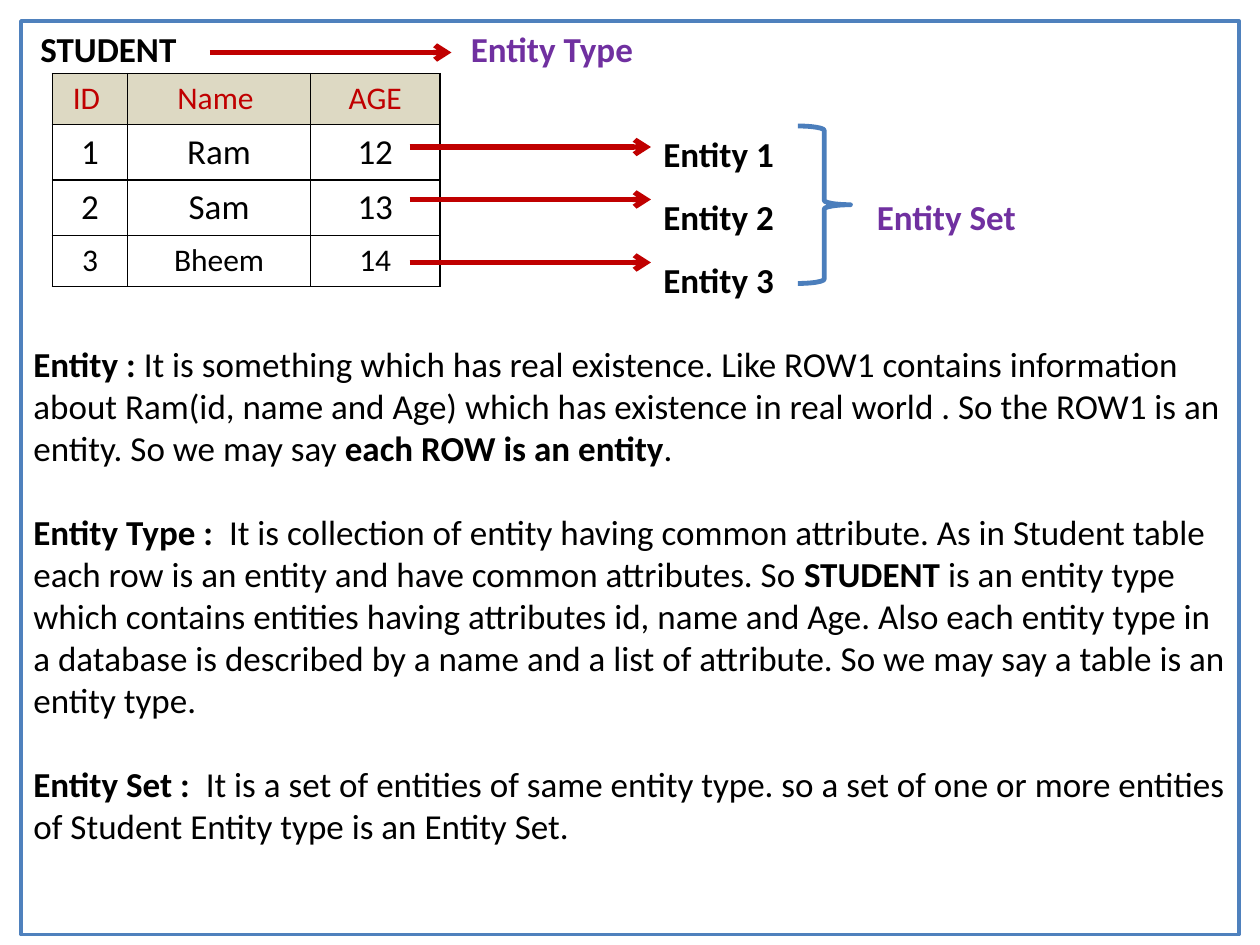
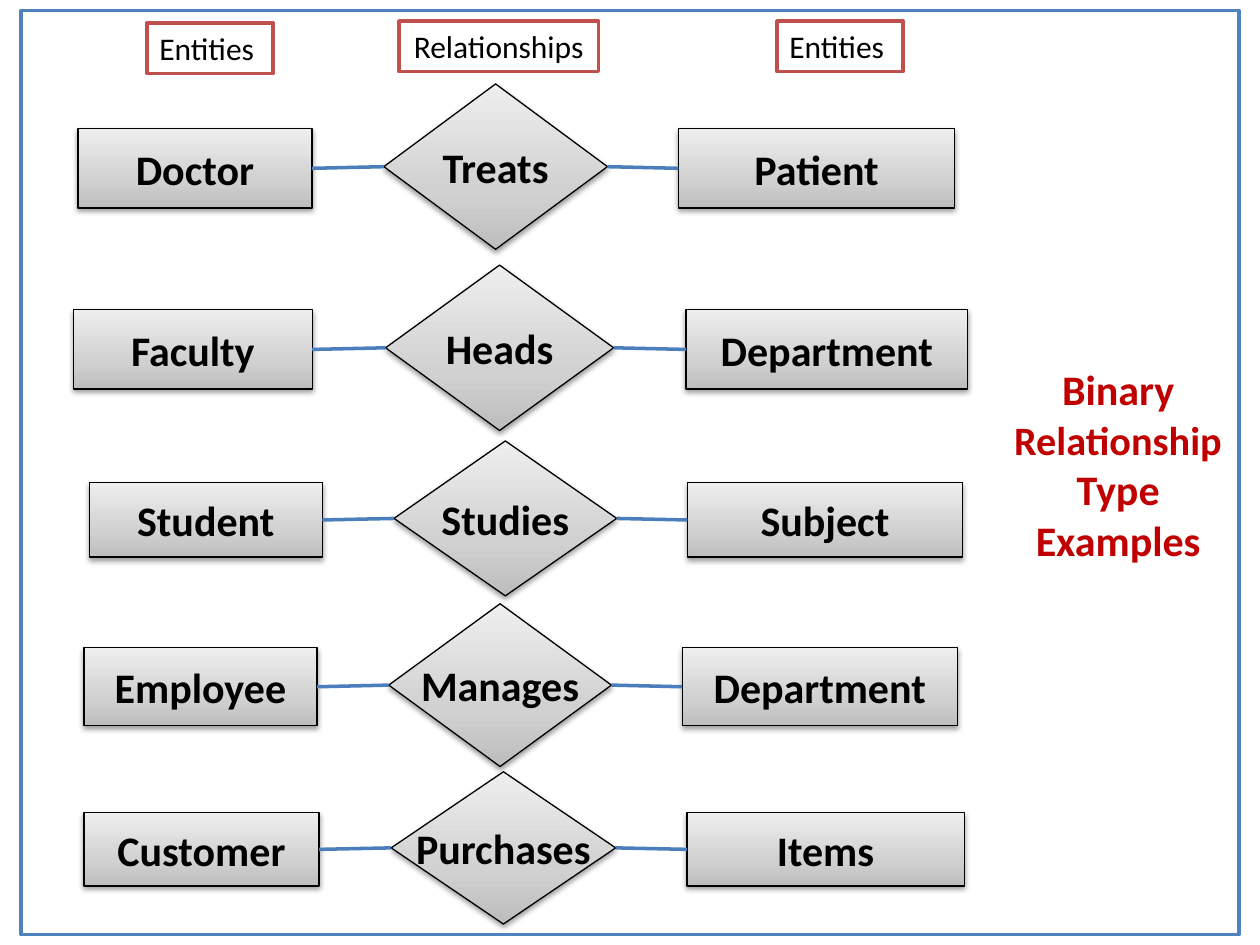
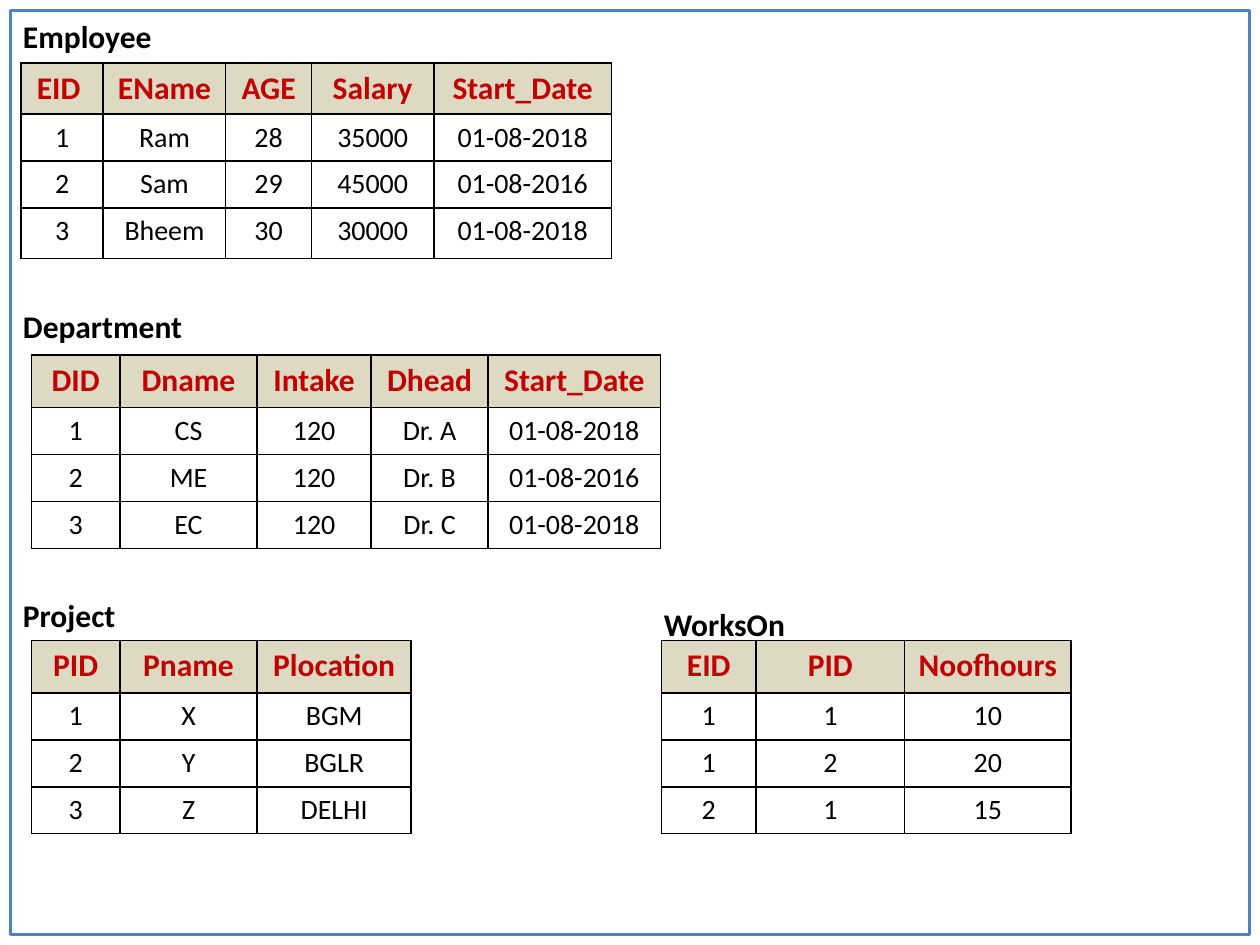
from copy import deepcopy

from pptx import Presentation
from pptx.dml.color import RGBColor
from pptx.enum.shapes import MSO_CONNECTOR, MSO_SHAPE
from pptx.enum.text import MSO_ANCHOR, PP_ALIGN
from pptx.oxml import parse_xml
from pptx.oxml.ns import nsdecls, qn
from pptx.util import Pt

# Shared look
FONT = "Calibri"
BLACK, WHITE, RED, PURPLE = "000000", "FFFFFF", "C00000", "7030A0"
BLUE, LINK, BRICK, SAND = "4F81BD", "4B7EBC", "C0504D", "DDD9C3"
GREYS = [(0, "BDBDBD"), (0.35, "D1D1D1"), (1, "EEEEEE")]
LEFT, MID = PP_ALIGN.LEFT, PP_ALIGN.CENTER
hue = RGBColor.from_string


def box(shapes, at, text="", size=18, color=BLACK, bold=False, align=LEFT,
        anchor=MSO_ANCHOR.TOP, kind=MSO_SHAPE.RECTANGLE,
        fill=WHITE, edge=BLUE, weight=2):
    """Add a shape, or a text box if kind is None; *stars* mark bold runs."""
    at = [Pt(n) for n in at]
    if kind is None:
        item = shapes.add_textbox(*at)
    else:
        item = shapes.add_shape(kind, *at)
        item.shadow.inherit = False
        item.line.color.rgb = hue(edge)
        item.line.width = Pt(weight)
        if fill:
            item.fill.solid()
            item.fill.fore_color.rgb = hue(fill)
        else:
            item.fill.background()
    frame = item.text_frame
    frame.word_wrap = kind != MSO_SHAPE.DIAMOND
    frame.vertical_anchor = anchor
    for i, line in enumerate(text.split("\n") if text else []):
        para = frame.add_paragraph() if i else frame.paragraphs[0]
        para.alignment = align
        font = para.font
        font.name, font.size, font.bold = FONT, Pt(size), bold
        font.color.rgb = hue(color)
        for j, part in enumerate(line.split("*")):
            if part:
                run = para.add_run()
                run.text = part
                if j % 2:
                    run.font.bold = True
    return item


def grid(page, x, y, cols, rows, lines, sizes, bold=True):
    """Add a ruled table with a sand header; cells are split at bars."""
    table = page.shapes.add_table(len(rows), len(cols), Pt(x), Pt(y),
                                  Pt(sum(cols)), Pt(sum(rows))).table
    table.first_row = table.horz_banding = False
    for col, width in zip(table.columns, cols):
        col.width = Pt(width)
    for r, line in enumerate(lines):
        table.rows[r].height = Pt(rows[r])
        for c, word in enumerate(line.split("|")):
            cell = table.cell(r, c)
            cell.text = word
            para = cell.text_frame.paragraphs[0]
            para.alignment = MID
            font = para.font
            font.name, font.size = FONT, Pt(sizes[r])
            font.bold = bold and r == 0
            font.color.rgb = hue(BLACK if r else RED)
            props = cell._tc.get_or_add_tcPr()
            for side in "LRTB":
                props.append(parse_xml(
                    f'<a:ln{side} {nsdecls("a")} w="12700"><a:solidFill>'
                    f'<a:srgbClr val="{BLACK}"/></a:solidFill></a:ln{side}>'))
            if r:
                cell.fill.background()
            else:
                cell.fill.solid()
                cell.fill.fore_color.rgb = hue(SAND)


deck = Presentation()
deck.slide_width, deck.slide_height = Pt(720), Pt(540)
frames = [(12, 12, 696, 522), (12, 6, 696, 528), (6, 6, 708, 528)]
pages = [deck.slides.add_slide(deck.slide_layouts[6]) for _ in frames]
wires = []

# Slide 1: entity, entity type, entity set
page = pages[0]
body = box(page.shapes, frames[0], """\
*\tSTUDENT\t**Entity Type*
*\tEntity 1*
*\tEntity 2\t**Entity Set*
*\tEntity 3*
*Entity : *It is something which has real existence. Like ROW1 contains \
information about Ram(id, name and Age) which has existence in real world . \
So the ROW1 is an entity. So we may say *each ROW is an entity*.
*Entity Type :  *It is collection of entity having common attribute. As in \
Student table each row is an entity and have common attributes. So *STUDENT* \
is an entity type which contains entities having attributes id, name and Age. \
Also each entity type in a database is described by a name and a list of \
attribute. So we may say a table is an entity type.
*Entity Set :  *It is a set of entities of same entity type. so a set of one \
or more entities of Student Entity type is an Entity Set.""", size=20)
paras = body.text_frame.paragraphs
for i in (1, 4, 5, 6):
    paras[i].space_before = Pt(24)
for para in paras[1:4]:
    para.line_spacing = 1.5
for i in (0, 2):
    paras[i].runs[-1].font.color.rgb = hue(PURPLE)

# Tab stops set the columns of the labels
for para, stops in zip(paras, [(4, 250), (360,), (360, 482), (360,)]):
    tabs = "".join(f'<a:tab pos="{Pt(n)}" algn="l"/>' for n in stops)
    props = para._p.get_or_add_pPr()
    props.find(qn("a:defRPr")).addprevious(
        parse_xml(f'<a:tabLst {nsdecls("a")}>{tabs}</a:tabLst>'))

grid(page, 30, 42, [43, 104.5, 74], [27.5, 29.5, 29.5, 27.5],
     ["ID |Name |AGE", "1|Ram|12", "2|Sam|13", "3|Bheem|14"],
     [18, 20, 20, 18], bold=False)
for x, y in [(234, 84), (234, 114), (234, 150), (120, 30)]:
    wire = page.shapes.add_connector(MSO_CONNECTOR.STRAIGHT,
                                     Pt(x), Pt(y), Pt(x + 138), Pt(y))
    wires.append((wire, RED, 3, True))
box(page.shapes, (456, 72, 30, 90), kind=MSO_SHAPE.RIGHT_BRACE,
    fill=None, edge=LINK, weight=2.75)

# Slide 2: binary relationships, each row laid out in shares of its size
page = pages[1]
box(page.shapes, frames[1])
for x, y, wide, high, names in [
        (48, 345, 499, 93, "Employee|Manages|Department"),
        (51, 252, 499, 88.5, "Student|Studies|Subject"),
        (42, 151.5, 511, 94.5, "Faculty|Heads|Department"),
        (44.5, 48, 501, 94.5, "Doctor|Treats|Patient"),
        (48, 441, 503, 87, "Customer|Purchases|Items")]:
    group = page.shapes.add_group_shape().shapes
    nodes = []
    for name, dx, dy, w, h, kind in zip(
            names.split("|"), (0, 0.349, 0.685), (0.27, 0, 0.27),
            (0.267, 0.255, 0.315), (0.48, 1, 0.48),
            (MSO_SHAPE.RECTANGLE, MSO_SHAPE.DIAMOND, MSO_SHAPE.RECTANGLE)):
        node = box(group, (x + dx * wide, y + dy * high, w * wide, h * high),
                   name, 24, bold=True, align=MID, anchor=MSO_ANCHOR.MIDDLE,
                   kind=kind, edge=BLACK, weight=0.75)
        node.fill.gradient()
        node.fill.gradient_angle = 90
        props = node._element.spPr
        stops = props.find(".//" + qn("a:gsLst"))
        stops.insert(1, deepcopy(stops[0]))
        for stop, (place, tone) in zip(node.fill.gradient_stops, GREYS):
            stop.position = place
            stop.color.rgb = hue(tone)
        props.find(qn("a:effectLst")).append(parse_xml(
            f'<a:outerShdw {nsdecls("a")} blurRad="40000" dist="20000" '
            f'dir="5400000" rotWithShape="0"><a:srgbClr val="{BLACK}">'
            '<a:alpha val="38000"/></a:srgbClr></a:outerShdw>'))
        nodes.append(node)
    for start, end in zip(nodes, nodes[1:]):
        wire = group.add_connector(
            MSO_CONNECTOR.STRAIGHT,
            start.left + start.width, start.top + start.height // 2,
            end.left, end.top + end.height // 2)
        wire.begin_connect(start, 3)
        wire.end_connect(end, 1)
        wires.append((wire, LINK, 2, False))

title = box(page.shapes, (570, 204, 138, 124),
            "Binary *Relationship* Type\nExamples", 24, RED, True, MID,
            kind=None)
title.text_frame.paragraphs[0].runs[1].font.size = Pt(23)
for x, y, w, name, align in [(84, 13, 72, "Entities", LEFT),
                             (444, 12, 72, "Entities", LEFT),
                             (228, 12, 114, "Relationships", MID)]:
    box(page.shapes, (x, y, w, 29), name, align=align, edge=BRICK)

# Slide 3: company tables
page = pages[2]
names = box(page.shapes, frames[2], "Employee\nDepartment\nProject", bold=True)
for para in names.text_frame.paragraphs[:2]:
    para.space_after = Pt(144)
tall = [30, 24.5, 24.5, 23]
for x, y, cols, rows, lines in [
        (12, 36, [47, 70, 49, 70, 101.5], [24, 22.5, 22.5, 29],
         ["EID |EName |AGE|Salary|Start_Date", "1|Ram|28|35000|01-08-2018",
          "2|Sam|29|45000|01-08-2016", "3|Bheem|30|30000|01-08-2018"]),
        (18, 203, [50.5, 78.5, 65, 67, 98.5], tall,
         ["DID|Dname|Intake|Dhead|Start_Date", "1|CS|120|Dr. A|01-08-2018",
          "2|ME|120|Dr. B|01-08-2016", "3|EC|120|Dr. C|01-08-2018"]),
        (18, 366, [50.5, 78.5, 88], tall,
         ["PID|Pname|Plocation", "1|X|BGM", "2|Y|BGLR", "3|Z|DELHI"]),
        (378, 366, [54, 85, 95], tall,
         ["EID|PID|Noofhours", "1|1|10", "1|2|20", "2|1|15"])]:
    grid(page, x, y, cols, rows, lines, [18, 16, 16, 16])
box(page.shapes, (360, 342, 108, 30), "WorksOn", bold=True, align=MID,
    kind=None)

# Line style of all connectors
for wire, color, weight, arrow in wires:
    wire.line.color.rgb = hue(color)
    wire.line.width = Pt(weight)
    props = wire._element.spPr
    if arrow:
        props.find(qn("a:ln")).append(
            parse_xml(f'<a:tailEnd {nsdecls("a")} type="arrow"/>'))
    props.append(parse_xml(f'<a:effectLst {nsdecls("a")}/>'))

deck.save("out.pptx")
